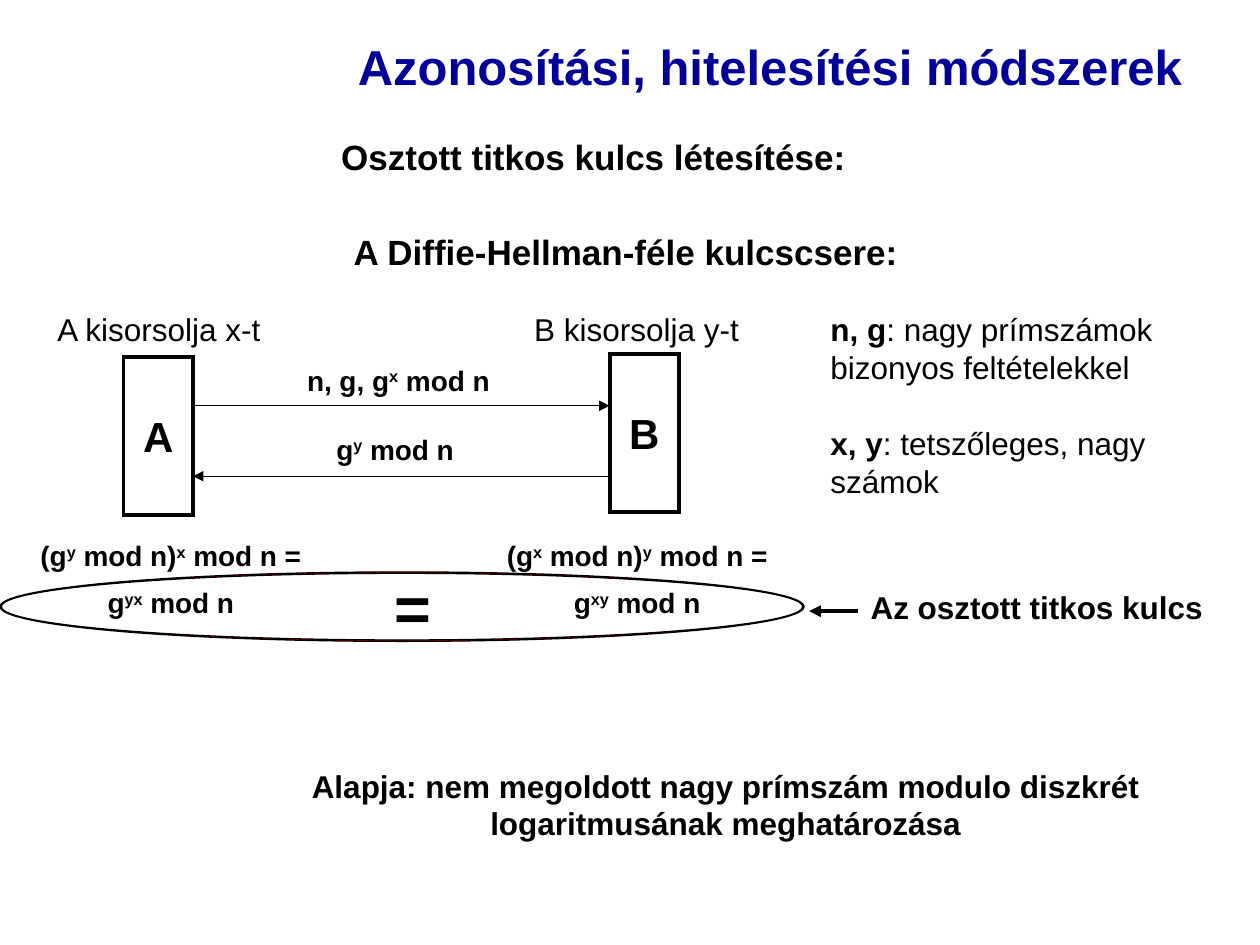
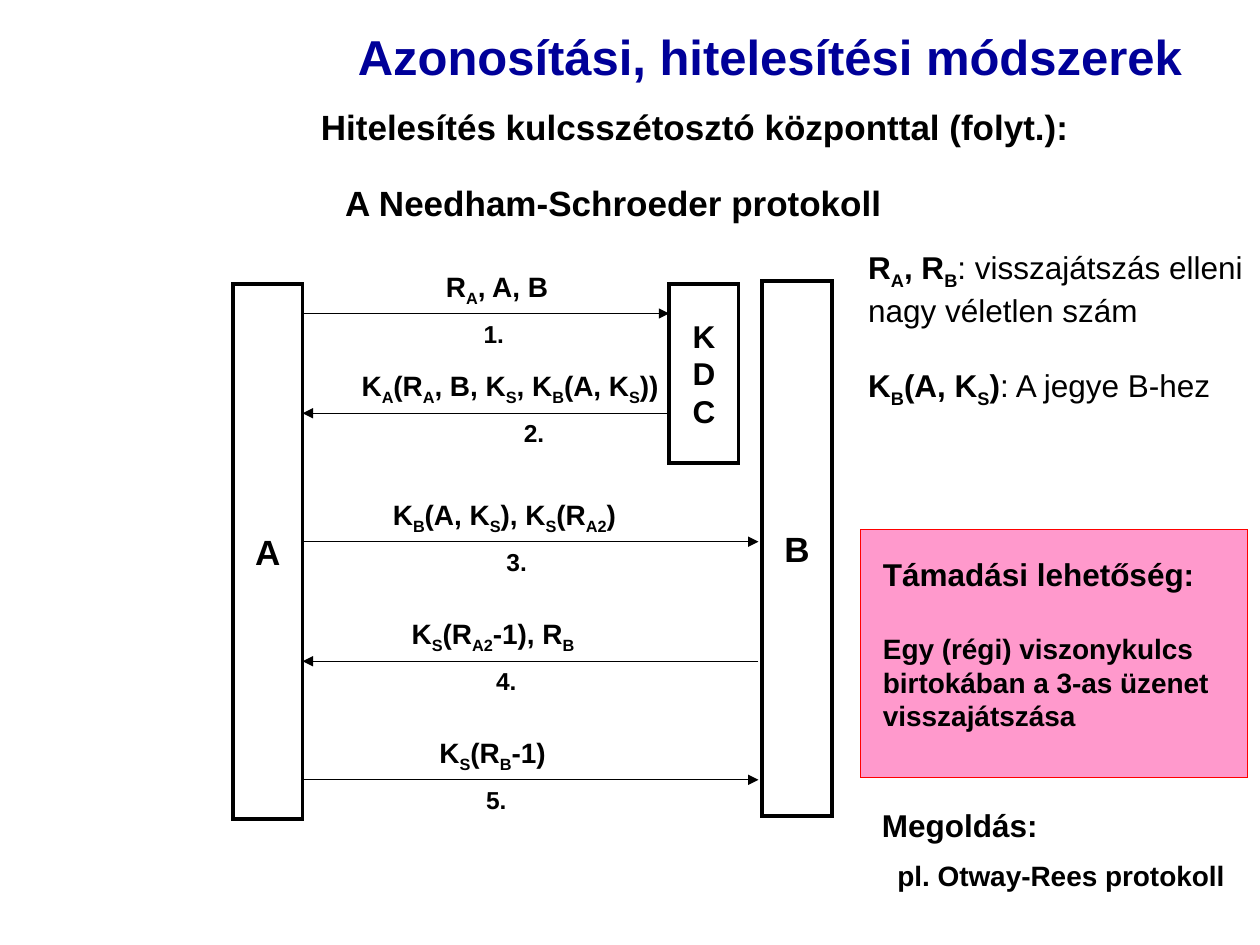
"""Build two slides on key exchange and authentication protocols."""
from pptx import Presentation
from pptx.dml.color import RGBColor
from pptx.enum.shapes import MSO_CONNECTOR as Connector, MSO_SHAPE as Shape
from pptx.enum.text import MSO_ANCHOR as Anchor, MSO_AUTO_SIZE as AutoSize, PP_ALIGN as Align
from pptx.oxml.ns import qn
from pptx.util import Cm, Pt
from lxml.etree import SubElement

FONT = "Arial"
BLACK = RGBColor(0x00, 0x00, 0x00)
NAVY = RGBColor(0x00, 0x00, 0x99)
RED = RGBColor(0xFF, 0x00, 0x00)
PINK = RGBColor(0xFF, 0x99, 0xCC)

TITLE = "Azonosítási, hitelesítési módszerek"
TITLE_ONLY = 5
BASELINES = {"^": "30000", "_": "-25000"}
REGULAR = "~"
PARTY_WIDTH = 1.4
NUMBER_WIDTH = 0.92


def write(frame, text, size=18, bold=True, color=BLACK, align=Align.LEFT,
          gap=0, later_size=None, later_indent=0):
    """Write lines whose |-separated spans may start with ^ (super), _ (sub) or ~ (regular)."""
    for index, line in enumerate(text.split("\n")):
        para = frame.add_paragraph() if index else frame.paragraphs[0]
        para.alignment = align
        if index:
            para.space_before = Pt(gap)
            if later_indent:
                para._p.get_or_add_pPr().set("marL", str(Cm(later_indent)))
        for part in line.split("|"):
            mark = part[:1]
            marked = mark in BASELINES or mark == REGULAR
            span = para.add_run()
            span.text = part[1:] if marked else part
            span.font.name = FONT
            span.font.size = Pt(later_size if index and later_size else size)
            span.font.bold = bold and mark != REGULAR
            span.font.color.rgb = color
            if mark in BASELINES:
                span._r.get_or_add_rPr().set("baseline", BASELINES[mark])


def add_page(deck, title_top):
    """Add a title-only page with the shared heading."""
    page = deck.slides.add_slide(deck.slide_layouts[TITLE_ONLY])
    title = page.shapes.title
    title.left, title.top = Cm(6.91), Cm(title_top)
    title.width, title.height = Cm(17.22), Cm(1.6)
    frame = title.text_frame
    frame.auto_size = AutoSize.NONE
    frame.vertical_anchor = Anchor.MIDDLE
    write(frame, TITLE, size=28, color=NAVY, align=Align.CENTER)
    return page


def add_text(page, text, left, top, width, height, wrap=False, **style):
    """Add a text box that grows with its text."""
    box = page.shapes.add_textbox(Cm(left), Cm(top), Cm(width), Cm(height))
    box.text_frame.word_wrap = wrap
    box.text_frame.auto_size = AutoSize.SHAPE_TO_FIT_TEXT
    write(box.text_frame, text, **style)


def add_figure(page, kind, left, top, width, height, fill=None, line=BLACK, weight=0.75):
    """Add an outlined preset shape with sharp corners and no shadow."""
    figure = page.shapes.add_shape(kind, Cm(left), Cm(top), Cm(width), Cm(height))
    figure.shadow.inherit = False
    if fill is None:
        figure.fill.background()
    else:
        figure.fill.solid()
        figure.fill.fore_color.rgb = fill
    figure.line.color.rgb = line
    figure.line.width = Pt(weight)
    SubElement(figure.line._get_or_add_ln(), qn("a:miter"), lim="800000")
    return figure


def add_party(page, name, left, top, height, size):
    """Add the upright box of a protocol party."""
    party = add_figure(page, Shape.RECTANGLE, left, top, PARTY_WIDTH, height, weight=2.25)
    party.text_frame.word_wrap = False
    party.text_frame.vertical_anchor = Anchor.MIDDLE
    write(party.text_frame, name, size=size, align=Align.CENTER)


def add_arrow(page, start, end, y, weight=0.75):
    """Add a horizontal arrow that points at its end."""
    arrow = page.shapes.add_connector(Connector.STRAIGHT, Cm(start), Cm(y), Cm(end), Cm(y))
    arrow.line.color.rgb = BLACK
    arrow.line.width = Pt(weight)
    SubElement(arrow.line._get_or_add_ln(), qn("a:tailEnd"), type="triangle")
    SubElement(arrow._element.spPr, qn("a:effectLst"))


def build_diffie_hellman(deck):
    """Build the Diffie-Hellman page."""
    page = add_page(deck, 0.53)
    add_text(page, "Osztott titkos kulcs létesítése:", 6.63, 2.6, 10.69, 1.12, size=20)
    add_text(page, "A Diffie-Hellman-féle kulcscsere:", 6.88, 4.52, 11.51, 1.12, size=20)

    a_left, b_left = 2.49, 12.29
    a_right = a_left + PARTY_WIDTH
    add_party(page, "A", a_left, 7.19, 3.2, 24)
    add_party(page, "B", b_left, 7.13, 3.2, 24)
    add_arrow(page, a_right, b_left, 8.18)
    add_arrow(page, b_left, a_right, 9.6)
    add_text(page, "n, g, g|^x| mod n", 5.94, 7.2, 4.2, 0.94, size=16)
    add_text(page, "g|^y| mod n", 6.53, 8.59, 2.88, 0.94, size=16)

    add_figure(page, Shape.DONUT, 0, 11.53, 16.21, 1.4, fill=RED).adjustments[0] = 0.02
    for draw, draw_left, formula, formula_left in (
        ("A kisorsolja x-t", 0.91, "(g|^y| mod n)|^x| mod n =\ng|^yx| mod n", 0.56),
        ("B kisorsolja y-t", 10.52, "(g|^x| mod n)|^y| mod n =\ng|^xy| mod n", 9.96),
    ):
        add_text(page, draw, draw_left, 6.12, 4.64, 1.02, bold=False)
        add_text(page, formula, formula_left, 10.73, 5.77, 1.9,
                 size=16, align=Align.CENTER, gap=8)
    add_text(page, "=", 7.7, 11.33, 1.25, 1.78, size=36)
    add_text(page, "Az osztott titkos kulcs", 17.3, 11.73, 7.22, 1.02)
    add_arrow(page, 17.3, 16.31, 12.32, weight=2.25)

    add_text(page, "n, g|~: nagy prímszámok bizonyos feltételekkel\n"
             "x, y|~: tetszőleges, nagy számok", 16.49, 6.12, 7.8, 4.06, wrap=True, gap=22)
    add_text(page, "Alapja: nem megoldott nagy prímszám modulo diszkrét "
             "logaritmusának meghatározása", 4.7, 15.33, 19.86, 1.78,
             wrap=True, align=Align.CENTER)


def build_needham_schroeder(deck):
    """Build the Needham-Schroeder page."""
    page = add_page(deck, 0.33)
    add_text(page, "Hitelesítés kulcsszétosztó központtal (folyt.):",
             6.22, 2.01, 15.6, 1.12, size=20)
    add_text(page, "A Needham-Schroeder protokoll", 6.71, 3.53, 12.4, 1.12, wrap=True, size=20)

    a_left, kdc_left, b_left = 4.7, 13.49, 15.37
    a_side, b_side = a_left + PARTY_WIDTH, b_left - 0.08
    add_party(page, "A", a_left, 5.72, 10.8, 20)
    add_party(page, "B", b_left, 5.66, 10.8, 20)
    add_party(page, "K\nD\nC", kdc_left, 5.72, 3.61, 18)

    messages = (
        ("R|_A|, A, B", 8.74, 2.6, 9.5, a_side, kdc_left, 6.32),
        ("K|_A|(R|_A|, B, K|_S|, K|_B|(A, K|_S|))", 7.04, 6.5, 10.31, kdc_left, a_side, 8.33),
        ("K|_B|(A, K|_S|), K|_S|(R|_A2|)", 7.67, 5.02, 9.96, a_side, b_side, 10.92),
        ("K|_S|(R|_A2|-1), R|_B", 8.05, 3.8, 9.75, b_side, a_side, 13.33),
        ("K|_S|(R|_B|-1)", 8.61, 2.66, 9.55, a_side, b_side, 15.72),
    )
    for number, message in enumerate(messages, start=1):
        text, left, width, number_left, start, end, y = message
        add_arrow(page, start, end, y)
        add_text(page, text, left, y - 1.02, width, 1.04, size=16)
        add_text(page, f"{number}.", number_left, y - 0.02, NUMBER_WIDTH, 0.86, size=14)

    add_text(page, "R|_A|, R|_B|~: visszajátszás elleni nagy véletlen szám\n"
             "K|_B|(A, K|_S|)|~: A jegye B-hez", 17.25, 4.88, 8.99, 3.51, wrap=True, gap=21)
    add_figure(page, Shape.RECTANGLE, 17.35, 10.67, 7.8, 5, fill=PINK, line=RED)
    add_text(page, "Támadási lehetőség:\n"
             "Egy (régi) viszonykulcs birtokában a 3-as üzenet visszajátszása",
             17.55, 11.07, 7.67, 3.81, wrap=True, gap=22, later_size=16)
    add_text(page, "Megoldás:\npl. Otway-Rees protokoll", 17.53, 16.13, 7.42, 2.01,
             gap=8, later_size=16, later_indent=0.31)


def main():
    """Build and save the deck."""
    deck = Presentation()
    deck.slide_width, deck.slide_height = Cm(25.4), Cm(19.05)
    build_diffie_hellman(deck)
    build_needham_schroeder(deck)
    deck.save("out.pptx")


if __name__ == "__main__":
    main()
